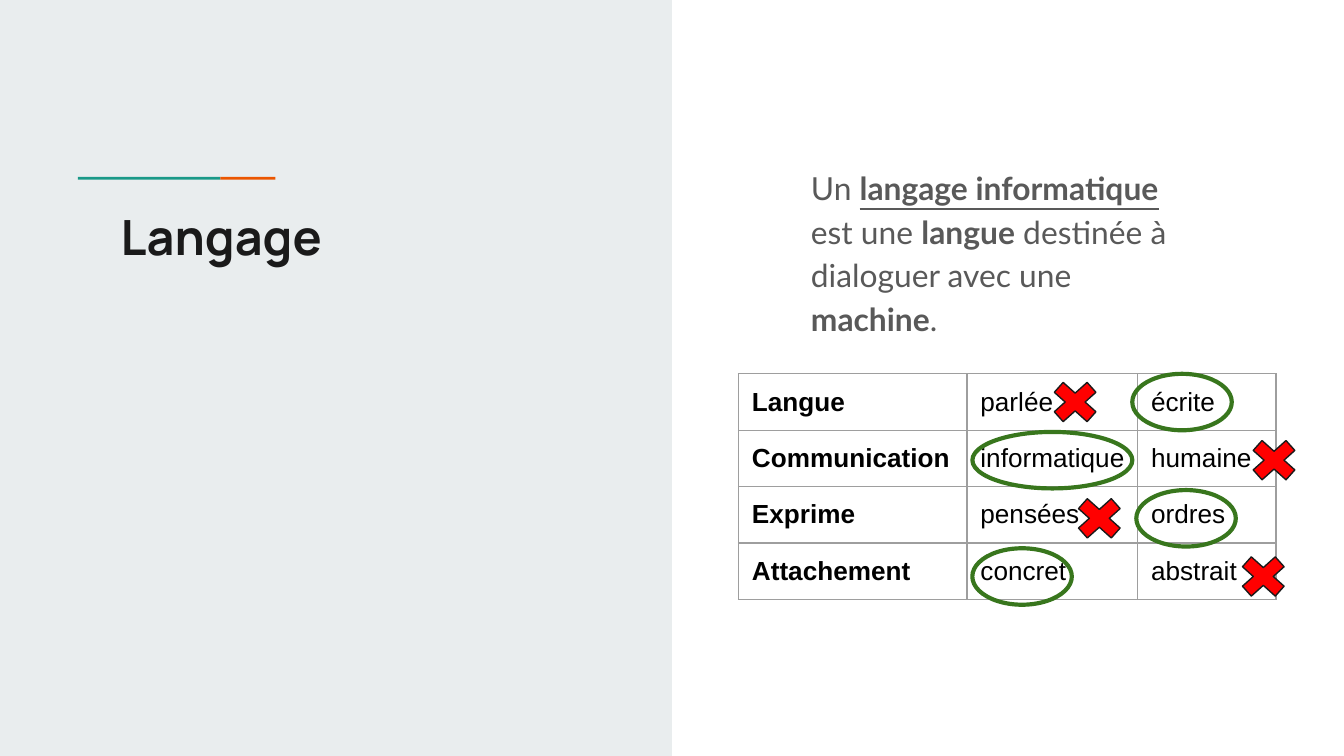
from lxml import etree
from pptx import Presentation, util as u
from pptx.dml.color import RGBColor
from pptx.enum import shapes, text
from pptx.oxml.ns import qn

HUE = {
    "panel": "E9EDEE", "teal": "1A9988", "orange": "EB5600",
    "ink": "1A1A1A", "body": "595959", "cell": "000000",
    "rule": "9E9E9E", "cross": "FF0000", "ring": "38761D",
}
FORM = shapes.MSO_SHAPE
ROWS = [
    ("Langue", "parlée", "écrite"),
    ("Communication", "informatique", "humaine"),
    ("Exprime", "pensées", "ordres"),
    ("Attachement", "concret", "abstrait"),
]
COLS = (42.5, 31.75, 25.75)
CROSS = (56.75, 93.75, 61.25, 91.75)
RINGS = ((0, 73.25, 18.5), (2, 74, 18.5), (3, 43.5, 18.5), (1, 43.5, 29.75))


def tint(name):
    return RGBColor.from_string(HUE[name])


def part(box, x, y, w, h):
    left, top, wide, high = box
    return (int(left + wide * x / 100), int(top + high * y / 100),
            int(wide * w / 100), int(high * h / 100))


def draw(slide, form, box, fill=None, line=None, width=0.75):
    shape = slide.shapes.add_shape(form, *box)
    shape.shadow.inherit = False
    if fill:
        shape.fill.solid()
        shape.fill.fore_color.rgb = tint(fill)
    else:
        shape.fill.background()
    if line:
        shape.line.color.rgb = tint(line)
        shape.line.width = u.Pt(width)
    else:
        shape.line.fill.background()
    return shape


def write(para, words, size, face, color, bold=False, under=False):
    run = para.add_run()
    run.text = words
    font = run.font
    font.size, font.name = u.Pt(size), face
    font.bold, font.underline = bold, under
    font.color.rgb = tint(color)


def pad(item, right=0.1, base=0.1):
    item.margin_left = item.margin_top = u.Inches(0.1)
    item.margin_right = u.Inches(right)
    item.margin_bottom = u.Inches(base)


def label(slide, box, right=0.1):
    frame = slide.shapes.add_textbox(*box).text_frame
    frame.word_wrap = True
    frame.vertical_anchor = text.MSO_ANCHOR.TOP
    pad(frame, right)
    return frame.paragraphs[0]


def edge(cell):
    props = cell._tc.get_or_add_tcPr()
    for side in ("lnL", "lnR", "lnT", "lnB"):
        line = etree.SubElement(props, qn("a:" + side), w=str(u.Pt(0.75)))
        fill = etree.SubElement(line, qn("a:solidFill"))
        etree.SubElement(fill, qn("a:srgbClr"), val=HUE["rule"])


def left(slide, box):
    draw(slide, FORM.RECTANGLE, box, "panel")
    for x, w, hue in ((11.6, 21.2, "teal"), (32.8, 8.2, "orange")):
        draw(slide, FORM.RECTANGLE, part(box, x, 23.4, w, 0.36), hue)
    para = label(slide, part(box, 16, 25.6, 72.2, 32.9))
    write(para, "Langage", 26, "Manrope", "ink", True)


def right(slide, box):
    para = label(slide, part(box, 18.7, 19.8, 62.4, 20.45), 0.15)
    para.line_spacing, para.space_after = 1.15, u.Pt(16)
    for words, bold, under in (
        ("Un ", False, False), ("langage informatique", True, True),
        (" est une ", False, False), ("langue", True, False),
        (" destinée à dialoguer avec une ", False, False),
        ("machine", True, False), (".", False, False),
    ):
        write(para, words, 17, "Lato", "body", bold, under)
    area = part(box, 9.9, 49.45, 80, 29.87)
    grid(slide, area)
    marks(slide, area)


def grid(slide, box):
    table = slide.shapes.add_table(len(ROWS), len(COLS), *box).table
    table.first_row = table.horz_banding = False
    for col, share in zip(table.columns, COLS):
        col.width = int(box[2] * share / 100)
    for r, row in enumerate(ROWS):
        table.rows[r].height = box[3] // len(ROWS)
        for c, words in enumerate(row):
            cell = table.cell(r, c)
            pad(cell, 0.04, 0.08)
            edge(cell)
            cell.fill.background()
            write(cell.text_frame.paragraphs[0], words, 14, "Arial", "cell", c == 0)


def marks(slide, box):
    high = 100 / len(ROWS)
    step = high * 1.03
    for r, x in enumerate(CROSS):
        spot = part(box, x, r * step, 11.75, high)
        cross = draw(slide, FORM.MATH_MULTIPLY, spot, "cross", "ink")
        cross.adjustments[0] = 0.235
    for r, x, w in RINGS:
        spot = part(box, x, r * step, w, high)
        draw(slide, FORM.OVAL, spot, line="ring", width=2.25)


def main():
    deck = Presentation()
    deck.slide_width = u.Inches(10)
    deck.slide_height = deck.slide_width * 9 // 16
    slide = deck.slides.add_slide(deck.slide_layouts[6])
    page = (0, 0, deck.slide_width, deck.slide_height)
    left(slide, part(page, 0, 0, 50, 100))
    right(slide, part(page, 50, 0, 50, 100))
    deck.save("out.pptx")


if __name__ == "__main__":
    main()
